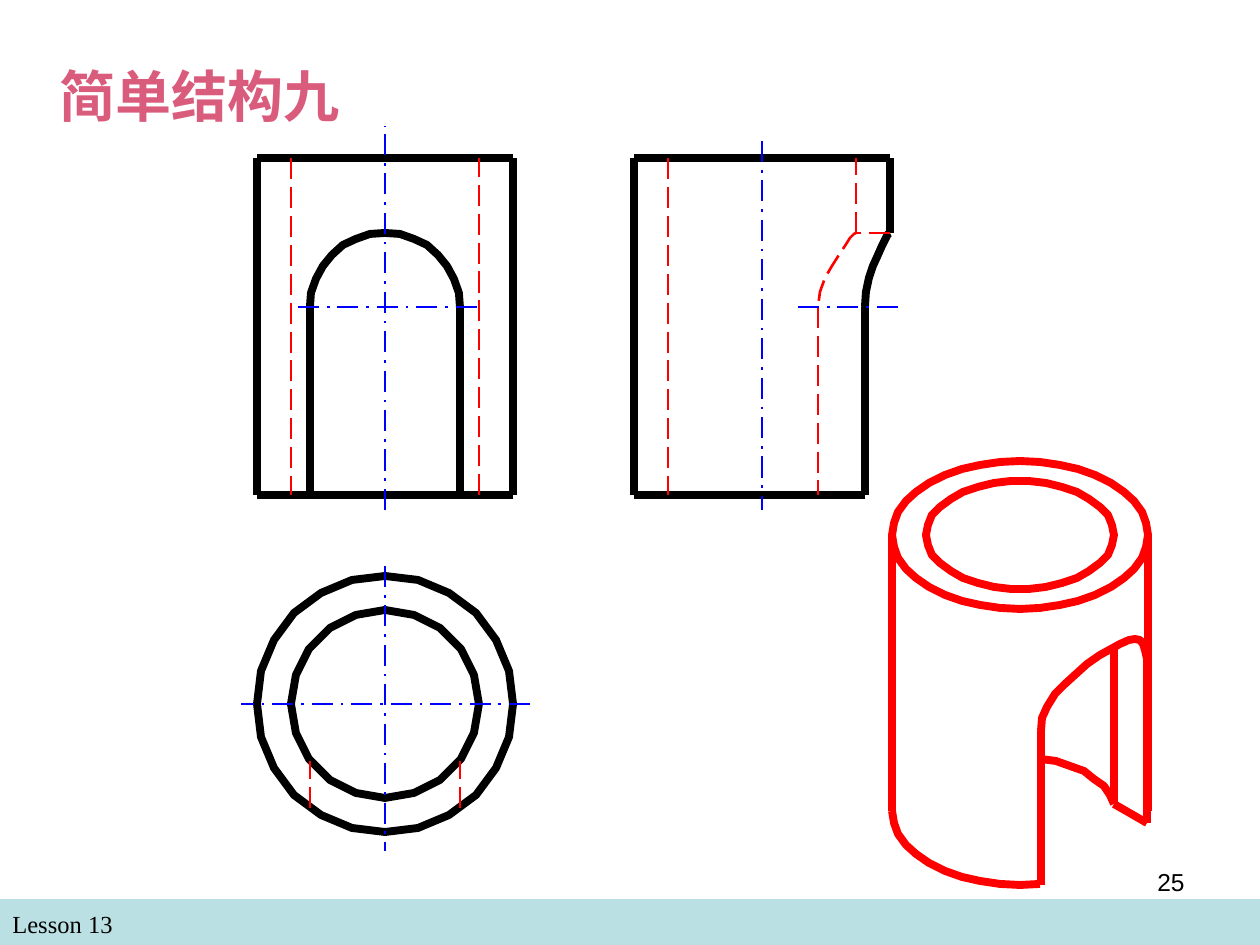
from math import cos, radians, sin
from lxml import etree
from pptx import Presentation
from pptx import util as u
from pptx.dml.color import RGBColor
from pptx.enum import dml, shapes, text
from pptx.oxml.ns import qn

SCALE = 914400 / 126
PEN = {
    "edge": ("000000", 4.5, None),
    "solid": ("FF0000", 4.5, None),
    "hidden": ("FF0000", 1.5, dml.MSO_LINE.LONG_DASH),
    "axis": ("0000FF", 1.5, dml.MSO_LINE.LONG_DASH_DOT),
}
TOP, ARCH_TOP, ARCH_BASE, BOTTOM = 158, 233, 307, 495
FRONT, SIDE, PLAN, ISO = 385, 762, 704, 1020
OUTER, INNER, SLOT = 128, 94, 75
ISO_TOP, ISO_BOTTOM, ISO_SLOT = 535, 811, 1041
CUT, INNER_CUT = 865, 818

LINES = [
    ("solid", ISO_SLOT, 885, ISO_SLOT, 731),
    ("solid", 1147, 823, 1114, 804),
    ("solid", 1114, 804, 1114, 648),
    ("solid", 1147, 670, 1147, 823),
    ("solid", ISO + OUTER, ISO_BOTTOM, ISO + OUTER, ISO_TOP),
    ("solid", ISO - OUTER, ISO_TOP, ISO - OUTER, ISO_BOTTOM),
    ("edge", FRONT - OUTER, TOP, FRONT + OUTER, TOP),
    ("edge", FRONT - OUTER, BOTTOM, FRONT + OUTER, BOTTOM),
    ("edge", FRONT - OUTER, TOP, FRONT - OUTER, BOTTOM),
    ("edge", FRONT + OUTER, BOTTOM, FRONT + OUTER, TOP),
    ("edge", FRONT - SLOT, BOTTOM, FRONT - SLOT, ARCH_BASE),
    ("edge", FRONT + SLOT, ARCH_BASE, FRONT + SLOT, BOTTOM),
    ("edge", SIDE - OUTER, TOP, SIDE + OUTER, TOP),
    ("edge", SIDE - OUTER, BOTTOM, CUT, BOTTOM),
    ("edge", SIDE - OUTER, TOP, SIDE - OUTER, BOTTOM),
    ("edge", CUT, BOTTOM, CUT, ARCH_BASE),
    ("edge", SIDE + OUTER, ARCH_TOP, SIDE + OUTER, TOP),
    ("hidden", FRONT - INNER, TOP, FRONT - INNER, BOTTOM),
    ("hidden", FRONT + INNER, BOTTOM, FRONT + INNER, TOP),
    ("hidden", FRONT - SLOT, 808, FRONT - SLOT, 761),
    ("hidden", FRONT + SLOT, 808, FRONT + SLOT, 761),
    ("hidden", SIDE - INNER, TOP, SIDE - INNER, BOTTOM),
    ("hidden", SIDE + INNER, ARCH_TOP, SIDE + INNER, TOP),
    ("hidden", SIDE + OUTER, ARCH_TOP, SIDE + INNER, ARCH_TOP),
    ("hidden", INNER_CUT, ARCH_BASE, INNER_CUT, BOTTOM),
    ("axis", FRONT, 510, FRONT, 126),
    ("axis", FRONT, 566, FRONT, 851),
    ("axis", SIDE, 141, SIDE, 510),
    ("axis", 530, PLAN, 241, PLAN),
    ("axis", 298, ARCH_BASE, 478, ARCH_BASE),
    ("axis", 798, ARCH_BASE, 898, ARCH_BASE),
]
# pen, centre x and y, radius x and y, start and end angle, segments
ARCS = [
    ("solid", ISO, ISO_TOP, OUTER, 74, 0, 360, 40),
    ("solid", ISO, ISO_TOP, INNER, 54, 0, 360, 34),
    ("solid", ISO, ISO_BOTTOM, OUTER, 74, 180, 81, 11),
    ("edge", FRONT, ARCH_BASE, SLOT, SLOT - 1, 180, 360, 16),
    ("edge", FRONT, PLAN, OUTER, OUTER, 0, 360, 24),
    ("edge", FRONT, PLAN, INNER, INNER, 0, 360, 20),
]
CURVES = [
    ("solid", [(1114, 804), (1110, 795), (1104, 786), (1094, 779), (1084, 771),
               (1070, 766), (1056, 761), (1041, 759)]),
    ("solid", [(1041, 731), (1042, 718), (1047, 707), (1055, 694), (1065, 684),
               (1076, 674), (1087, 664), (1100, 655), (1111, 649), (1120, 644),
               (1129, 640), (1135, 639), (1140, 640), (1143, 644), (1145, 650),
               (1147, 659), (1147, 670)]),
    ("edge", [(865, 307), (866, 292), (869, 278), (873, 266), (878, 255),
              (882, 246), (886, 238), (888, 234), (890, 233)]),
    ("hidden", [(856, 233), (854, 234), (850, 238), (845, 246), (839, 255),
                (832, 266), (825, 278), (820, 292), (818, 307)]),
]
TITLE = ("简单结构九", "Times New Roman", 32, "DA5C7D", True, "CENTER")
LABELS = [
    (("Lesson 13", "Times New Roman", 14, "000000", False, "LEFT"), (0, 903, 609, 42)),
    (("25", "Arial", 14, "000000", False, "RIGHT"), (903, 861, 294, 66)),
]


def px(value):
    return u.Emu(round(value * SCALE))


def color(value):
    return RGBColor.from_string(value)


def write(box, content):
    words, font, size, shade, bold, align = content
    frame = box.text_frame
    frame.word_wrap = True
    frame.auto_size = text.MSO_AUTO_SIZE.NONE
    frame.vertical_anchor = text.MSO_ANCHOR.TOP
    para = frame.paragraphs[0]
    para.alignment = text.PP_ALIGN[align]
    span = para.add_run()
    span.text = words
    span.font.name, span.font.size, span.font.bold = font, u.Pt(size), bold
    span.font.color.rgb = color(shade)


def ink(line, pen):
    shade, width, dash = PEN[pen]
    line.color.rgb = color(shade)
    line.width = u.Pt(width)
    if dash:
        line.dash_style = dash


def draw_line(page, pen, *ends):
    link = page.shapes.add_connector(shapes.MSO_CONNECTOR.STRAIGHT, *map(px, ends))
    ink(link.line, pen)
    etree.SubElement(link._element.spPr, qn("a:effectLst"))


def draw_curve(page, pen, points):
    builder = page.shapes.build_freeform(*points[0], scale=SCALE)
    builder.add_line_segments(points[1:], close=points[0] == points[-1])
    curve = builder.convert_to_shape()
    curve.fill.background()
    curve.shadow.inherit = False
    ink(curve.line, pen)


def arc_points(x, y, rx, ry, start, end, count):
    angles = [radians(start + (end - start) * i / count) for i in range(count + 1)]
    return [(round(x + rx * cos(a), 2), round(y + ry * sin(a), 2)) for a in angles]


def main():
    deck = Presentation()
    deck.slide_width, deck.slide_height = px(1260), px(945)
    page = deck.slides.add_slide(deck.slide_layouts[5])

    title = page.shapes.title
    title.left, title.top, title.width, title.height = map(px, (0, 55, 399, 81))
    write(title, TITLE)

    band = page.shapes.add_shape(shapes.MSO_SHAPE.RECTANGLE, *map(px, (0, 899, 1260, 46)))
    band.fill.solid()
    band.fill.fore_color.rgb = color("BBE0E3")
    band.line.fill.background()
    band.shadow.inherit = False

    for pen, *arc in ARCS:
        draw_curve(page, pen, arc_points(*arc))
    for pen, points in CURVES:
        draw_curve(page, pen, points)
    for line in LINES:
        draw_line(page, *line)
    for content, place in LABELS:
        write(page.shapes.add_textbox(*map(px, place)), content)

    deck.save("out.pptx")


if __name__ == "__main__":
    main()
